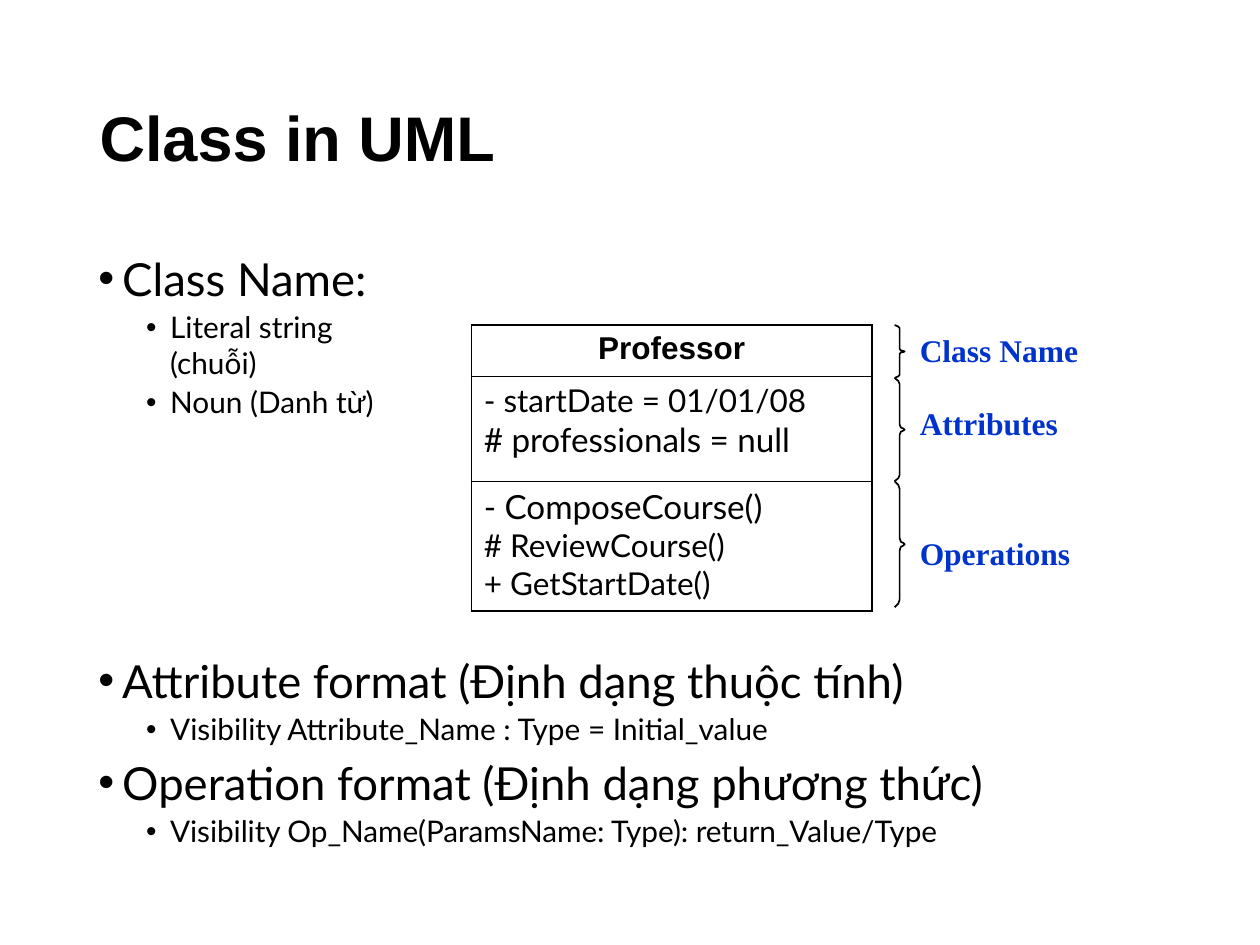
import pptx
import pptx.util
import pptx.dml.color
import pptx.enum.text
import pptx.oxml
import pptx.oxml.ns

Inches, Pt = pptx.util.Inches, pptx.util.Pt
ALIGN, ANCHOR = pptx.enum.text.PP_ALIGN, pptx.enum.text.MSO_ANCHOR
COLORS = {"text": "000000", "label": "0033CC"}

# Content
TITLE = "Class in UML"
# List items: level, text, letter spacing in hundredths of a point
NAME_RULES = [(0, "Class Name:", 0), (1, "Literal string (chuỗi)", 0),
              (1, "Noun (Danh từ)", 0)]
FORMATS = [
    (0, "Attribute format (Định dạng thuộc tính)", 0),
    (1, "Visibility Attribute_Name : Type = Initial_value", 0),
    (0, "Operation format (Định dạng phương thức)", 0),
    (1, "Visibility Op_Name(ParamsName: Type): return_Value/Type", -5),
]
# Compartments: row height, top margin, lines of (text, size, line spacing in points)
COMPARTMENTS = [
    (0.41, 0.05, [("Professor", 18, None)]),
    (0.83, 0.04, [("- startDate = 01/01/08", 18, 21.6),
                  ("# professionals = null", 19, 22.8)]),
    (1.03, 0.04, [("- ComposeCourse()", 19, None), ("# ReviewCourse()", 18, None),
                  ("+ GetStartDate()", 18, None)]),
]
# Braces: label, brace height, label centre
BRACES = [("Class Name", 0.42, 2.78), ("Attributes", 0.82, 3.36), ("Operations", 1.0, 4.39)]
# Upper half of a brace: x in inches, y as a share of the height
BRACE_HALF = [(0, 0), (0.01, 0.01), (0.03, 0.03), (0.04, 0.06), (0.04, 0.09),
              (0.04, 0.42), (0.04, 0.45), (0.05, 0.48), (0.07, 0.49)]
BRACE_TIP = (0.08, 0.5)

CLASS_LEFT, CLASS_TOP, CLASS_WIDTH = 3.74, 2.58, 3.18
BRACE_LEFT = 7.1
LABEL_LEFT, LABEL_WIDTH, LABEL_HEIGHT = 7.3, 1.4, 0.3
LIST_STYLE = {0: {"size": 26, "indent": 0.2, "before": 4.7},
              1: {"size": 17, "indent": 0.58, "before": 2.1}}
HANGING = 0.19


def rgb(name):
    return pptx.dml.color.RGBColor.from_string(COLORS[name])


def format_runs(paragraph, font, size, color="text", bold=False, spacing=0):
    for run in paragraph.runs:
        run.font.name, run.font.size, run.font.bold = font, Pt(size), bold
        run.font.color.rgb = rgb(color)
        if spacing:
            run._r.get_or_add_rPr().set("spc", str(spacing))


def place(shape, left, top, width, height):
    shape.left, shape.top = Inches(left), Inches(top)
    shape.width, shape.height = Inches(width), Inches(height)


def plain_frame(shape, anchor=ANCHOR.TOP):
    frame = shape.text_frame
    frame.margin_left = frame.margin_right = frame.margin_top = frame.margin_bottom = 0
    frame.word_wrap = True
    frame.auto_size = pptx.enum.text.MSO_AUTO_SIZE.NONE
    frame.vertical_anchor = anchor
    return frame


def fill_list(placeholder, items):
    frame = plain_frame(placeholder)
    for i, (level, text, spacing) in enumerate(items):
        style = LIST_STYLE[level]
        paragraph = frame.paragraphs[0] if i == 0 else frame.add_paragraph()
        paragraph.text = text
        paragraph.level = level
        properties = paragraph._p.get_or_add_pPr()
        properties.set("marL", str(Inches(style["indent"])))
        properties.set("indent", str(-Inches(HANGING)))
        bullet = pptx.oxml.parse_xml(
            f'<a:buChar {pptx.oxml.ns.nsdecls("a")} char="•"/>')
        properties.append(bullet)
        paragraph.space_before = Pt(style["before"] if i else 0)
        format_runs(paragraph, "Lato", style["size"], spacing=spacing)


def border_cell(cell):
    properties = cell._tc.get_or_add_tcPr()
    for i, side in enumerate(("lnL", "lnR", "lnT", "lnB")):
        properties.insert(i, pptx.oxml.parse_xml(
            f'<a:{side} {pptx.oxml.ns.nsdecls("a")} w="{Pt(1)}"><a:solidFill>'
            f'<a:srgbClr val="{COLORS["text"]}"/></a:solidFill></a:{side}>'))


def add_class(slide):
    heights = [height for height, _, _ in COMPARTMENTS]
    table = slide.shapes.add_table(
        len(heights), 1, Inches(CLASS_LEFT), Inches(CLASS_TOP),
        Inches(CLASS_WIDTH), Inches(sum(heights))).table
    table.first_row = table.horz_banding = False
    for row, (height, margin, lines) in enumerate(COMPARTMENTS):
        table.rows[row].height = Inches(height)
        cell = table.cell(row, 0)
        cell.fill.background()
        border_cell(cell)
        is_name = row == 0
        cell.margin_left = Inches(0 if is_name else 0.1)
        cell.margin_right = cell.margin_bottom = 0
        cell.margin_top = Inches(margin)
        cell.text_frame.text = "\n".join(text for text, _, _ in lines)
        for paragraph, (_, size, spacing) in zip(cell.text_frame.paragraphs, lines):
            paragraph.alignment = ALIGN.CENTER if is_name else ALIGN.LEFT
            if spacing:
                paragraph.line_spacing = Pt(spacing)
            format_runs(paragraph, "Arial" if is_name else "Lato", size, bold=is_name)


def add_braces(slide):
    lower_half = [(x, 1 - y) for x, y in reversed(BRACE_HALF)]
    profile = BRACE_HALF + [BRACE_TIP] + lower_half
    outline = slide.shapes.build_freeform(Inches(BRACE_LEFT), Inches(CLASS_TOP))
    top = CLASS_TOP
    for i, (_, height, _) in enumerate(BRACES):
        points = [(Inches(BRACE_LEFT + x), Inches(top + y * height)) for x, y in profile]
        if i:
            outline.move_to(*points[0])
        outline.add_line_segments(points[1:], close=False)
        top += height
    braces = outline.convert_to_shape()
    braces.shadow.inherit = False
    braces.fill.background()
    braces.line.color.rgb = rgb("text")
    braces.line.width = Pt(0.96)


def add_labels(slide):
    for text, _, centre in BRACES:
        label = slide.shapes.add_textbox(
            Inches(LABEL_LEFT), Inches(centre - LABEL_HEIGHT / 2),
            Inches(LABEL_WIDTH), Inches(LABEL_HEIGHT))
        frame = plain_frame(label, ANCHOR.MIDDLE)
        frame.text = text
        format_runs(frame.paragraphs[0], "Times New Roman", 18, "label", True)


def main():
    deck = pptx.Presentation()
    deck.slide_width, deck.slide_height = Inches(10), Inches(7.5)
    slide = deck.slides.add_slide(deck.slide_layouts[3])  # title and two lists
    title, name_rules, formats = slide.placeholders

    # Title
    place(title, 0.79, 0.78, 3.17, 0.63)
    frame = plain_frame(title)
    frame.text = TITLE
    frame.paragraphs[0].alignment = ALIGN.LEFT
    format_runs(frame.paragraphs[0], "Arial", 36, bold=True)

    # Lists
    place(name_rules, 0.77, 1.99, 2.29, 1.35)
    fill_list(name_rules, NAME_RULES)
    place(formats, 0.77, 5.18, 7.74, 1.59)
    fill_list(formats, FORMATS)

    # Class diagram with its labelled parts
    add_class(slide)
    add_braces(slide)
    add_labels(slide)
    deck.save("out.pptx")


if __name__ == "__main__":
    main()
